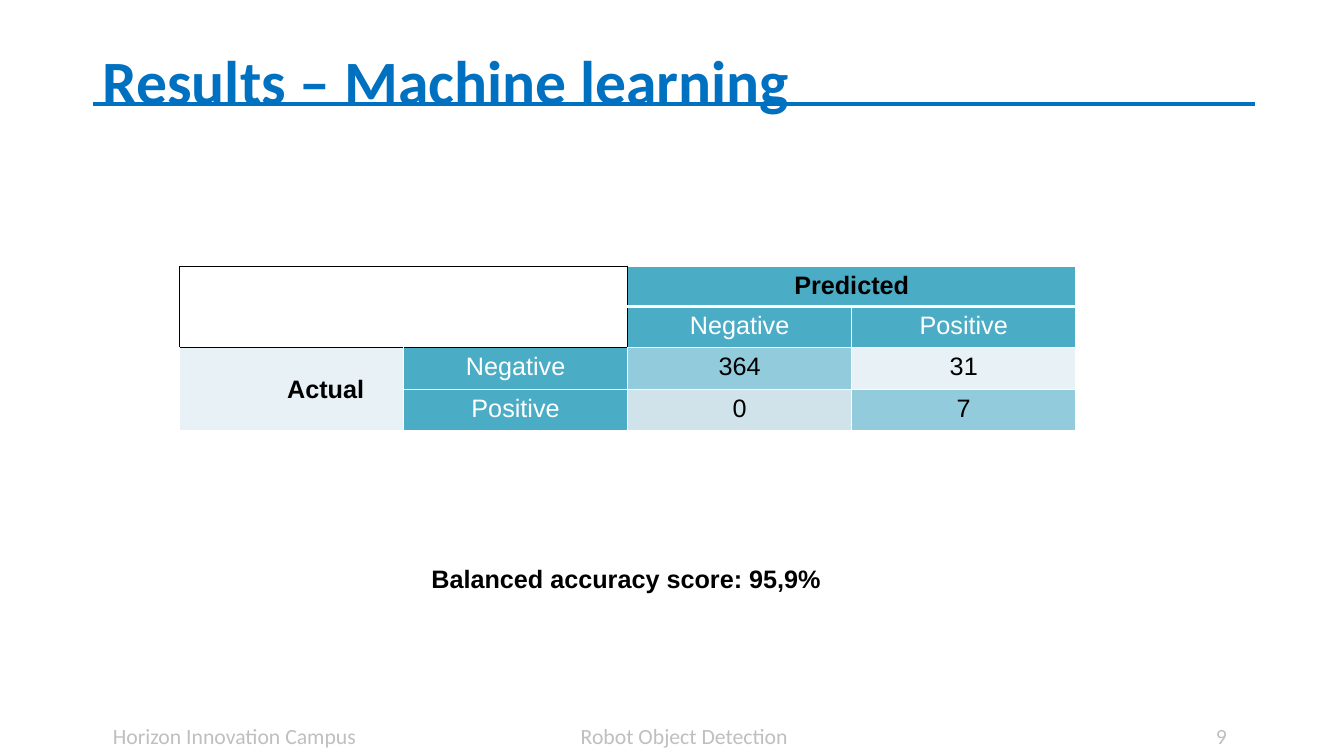
from dataclasses import dataclass

from lxml import etree
from pptx import Presentation
from pptx.dml.color import RGBColor
from pptx.enum.shapes import MSO_CONNECTOR, MSO_SHAPE
from pptx.enum.text import MSO_ANCHOR, PP_ALIGN
from pptx.oxml.ns import qn
from pptx.util import Inches, Pt

LEFT, CENTER = PP_ALIGN.LEFT, PP_ALIGN.CENTER
TOP, MIDDLE, BOTTOM = MSO_ANCHOR.TOP, MSO_ANCHOR.MIDDLE, MSO_ANCHOR.BOTTOM
RECTANGLE, STRAIGHT = MSO_SHAPE.RECTANGLE, MSO_CONNECTOR.STRAIGHT

BLUE, TEAL, WHITE, BLACK, GREY = "0070C0", "4BACC6", "FFFFFF", "000000", "BFBFBF"
MATCH, PALE, SOFT = "92CCDC", "E8F1F5", "D0E3EA"


@dataclass
class Label:
    text: str
    left: float
    top: float
    width: float
    height: float
    size: float = 18
    font: str = "Arial"
    color: str = BLACK
    anchor: MSO_ANCHOR = TOP
    spacing: float = 1.0


@dataclass
class Cell:
    fill: str
    text: str = ""
    color: str = BLACK
    bold: bool = False


def rgb(value: str) -> RGBColor:
    return RGBColor.from_string(value)


def style(p, size: float, font: str, color: str, bold: bool) -> None:
    for r in p.runs:
        r.font.size = Pt(size)
        r.font.name = font
        r.font.bold = bold
        r.font.color.rgb = rgb(color)


def add_label(s, label: Label) -> None:
    box = s.shapes.add_textbox(Inches(label.left), Inches(label.top),
                               Inches(label.width), Inches(label.height))
    tf = box.text_frame
    tf.word_wrap = True
    tf.vertical_anchor = label.anchor
    p = tf.paragraphs[0]
    p.text = label.text
    p.line_spacing = label.spacing
    style(p, label.size, label.font, label.color, True)


def set_borders(cell, borders: dict[str, tuple[str, float]]) -> None:
    tc_pr = cell._tc.get_or_add_tcPr()
    for i, side in enumerate("LRTB"):
        color, width = borders[side]
        ln = etree.Element(qn(f"a:ln{side}"), w=str(Pt(width)))
        fill = etree.SubElement(ln, qn("a:solidFill"))
        etree.SubElement(fill, qn("a:srgbClr"), val=color)
        tc_pr.insert(i, ln)


def cell_borders(row: int, col: int) -> dict[str, tuple[str, float]]:
    """Black round the empty corner, a thick rule under Predicted, white elsewhere."""
    white, black = (WHITE, 0.96), (BLACK, 0.75)
    if row < 2 and col < 2:
        return dict.fromkeys("LRTB", black)
    borders = dict.fromkeys("LRTB", white)
    if row < 2 and col == 2:
        borders["L"] = black
    if row == 2 and col < 2:
        borders["T"] = black
    if row < 2 and col >= 2:
        borders["B" if row == 0 else "T"] = (WHITE, 3)
    return borders


def add_matrix(s, rows: list[list[Cell]]) -> None:
    heights = [0.38, 0.41, 0.41, 0.41]
    table = s.shapes.add_table(4, 4, Inches(1.78), Inches(2.64),
                               Inches(8.89), Inches(sum(heights))).table
    table.first_row = table.horz_banding = False
    for column in table.columns:
        column.width = Inches(8.89 / 4)
    for row, height in zip(table.rows, heights):
        row.height = Inches(height)
    for i, row in enumerate(rows):
        for j, item in enumerate(row):
            cell = table.cell(i, j)
            cell.fill.solid()
            cell.fill.fore_color.rgb = rgb(item.fill)
            set_borders(cell, cell_borders(i, j))
            p = cell.text_frame.paragraphs[0]
            p.text = item.text
            p.alignment = CENTER
            style(p, 18, "Arial", item.color, item.bold)
    for first, last in [((0, 0), (1, 1)), ((0, 2), (0, 3)), ((2, 0), (3, 0))]:
        table.cell(*first).merge(table.cell(*last))


def add_footer(s, text: str, start: float, tabs: list[float]) -> None:
    sp = s.shapes.add_shape(RECTANGLE, 0, Inches(6.92), Inches(13.33), Inches(0.56))
    sp.shadow.inherit = False
    sp.fill.background()
    sp.line.color.rgb = rgb(WHITE)
    sp.line.width = Pt(0.75)
    tf = sp.text_frame
    tf.word_wrap = True
    tf.vertical_anchor = BOTTOM
    tf.margin_left = Inches(start)
    p = tf.paragraphs[0]
    p.text = text
    p.alignment = LEFT
    p.line_spacing = 0.9
    tab_list = etree.SubElement(p._p.get_or_add_pPr(), qn("a:tabLst"))
    for tab in tabs:
        etree.SubElement(tab_list, qn("a:tab"), pos=str(Inches(tab - start)), algn="l")
    style(p, 15.5, "Calibri", GREY, False)


def main() -> None:
    prs = Presentation()
    prs.slide_width, prs.slide_height = Inches(13.33), Inches(7.5)
    s = prs.slides.add_slide(prs.slide_layouts[6])

    # Title and rule
    add_label(s, Label("Results – Machine learning", 0.92, 0.11, 11.5, 1.45,
                       44, "Calibri", BLUE, MIDDLE, 0.9))
    rule = s.shapes.add_connector(STRAIGHT, Inches(0.92), Inches(1.03),
                                  Inches(12.45), Inches(1.03))
    rule.line.color.rgb = rgb(BLUE)
    rule.line.width = Pt(3)
    etree.SubElement(rule._element.spPr, qn("a:effectLst"))

    # Confusion matrix
    corner, actual = Cell(WHITE), Cell(PALE)
    negative, positive = (Cell(TEAL, t, WHITE) for t in ("Negative", "Positive"))
    add_matrix(s, [
        [corner, corner, Cell(TEAL, "Predicted", bold=True), Cell(TEAL)],
        [corner, corner, negative, positive],
        [actual, negative, Cell(MATCH, "364"), Cell(PALE, "31")],
        [actual, positive, Cell(SOFT, "0"), Cell(MATCH, "7")],
    ])

    # Row heading and score
    add_label(s, Label("Balanced accuracy score: 95,9%", 4.18, 5.54, 4.1, 0.4))
    add_label(s, Label("Actual", 2.75, 3.65, 1.03, 0.4))

    # Footer
    add_footer(s, "Horizon Innovation Campus\tRobot Object Detection\t9", 1.12, [5.76, 12.06])

    prs.save("out.pptx")


if __name__ == "__main__":
    main()
